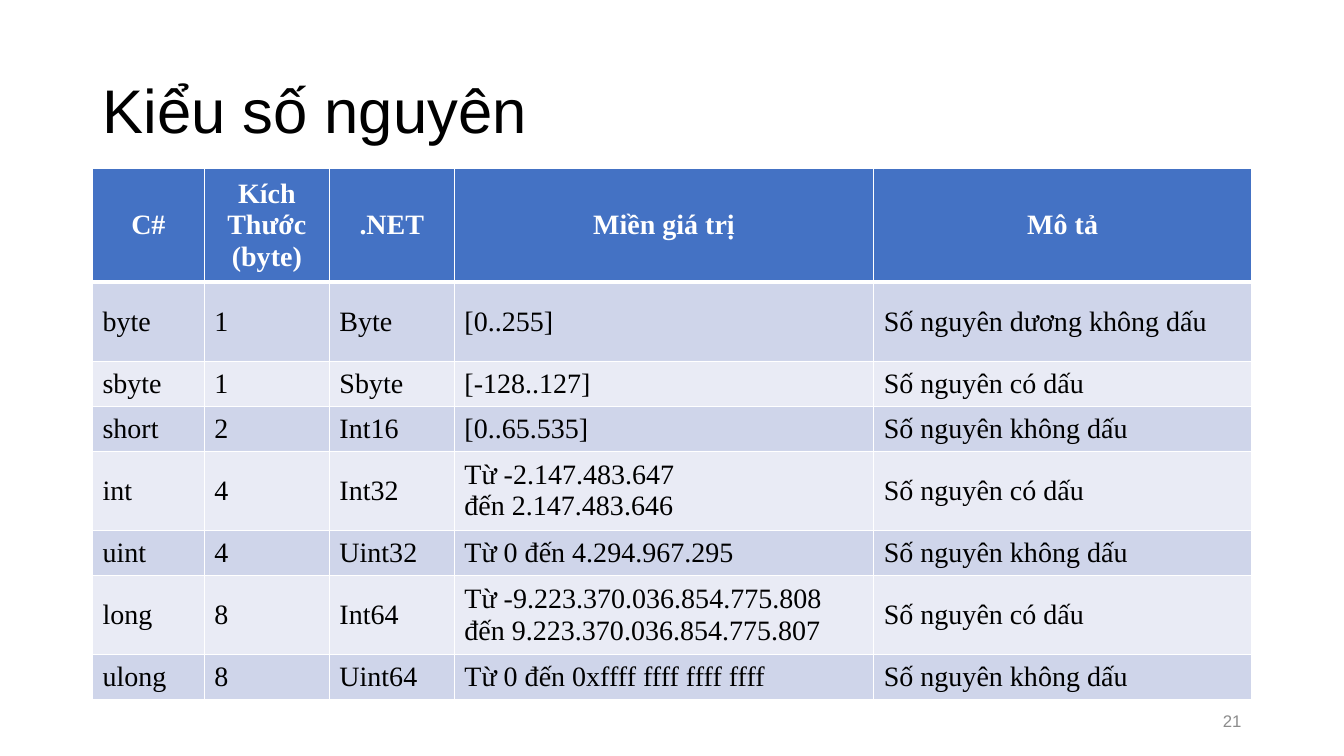
from lxml import etree
from pptx import Presentation
from pptx.dml.color import RGBColor
from pptx.enum.text import MSO_ANCHOR, PP_ALIGN
from pptx.oxml.ns import qn
from pptx.util import Cm, Pt

MIDDLE = MSO_ANCHOR.MIDDLE
LEFT, CENTER = PP_ALIGN.LEFT, PP_ALIGN.CENTER
RIGHT, JUSTIFY = PP_ALIGN.RIGHT, PP_ALIGN.JUSTIFY

COLORS = {
    "black": "000000",
    "white": "FFFFFF",
    "gray": "8C8C8C",
    "head": "4472C4",
    "odd": "CFD5EA",
    "even": "E9EBF5",
}
SANS, SERIF = "Arial", "Times New Roman"

WIDTHS = [2.82, 3.15, 3.15, 10.57, 9.52]
HEAD_TALL, ROW_TALL, ROW_LOW = 2.86, 2.0, 1.13
TALL_ROWS = {"byte", "int", "long"}

HEADER = ["C#", "Kích\nThước\n(byte)", ".NET", "Miền giá trị", "Mô tả"]
TYPES = [
    ["byte", "1", "Byte", "[0..255]", "Số nguyên dương không dấu"],
    ["sbyte", "1", "Sbyte", "[-128..127]", "Số nguyên có dấu"],
    ["short", "2", "Int16", "[0..65.535]", "Số nguyên không dấu"],
    ["int", "4", "Int32", "Từ -2.147.483.647\nđến 2.147.483.646",
     "Số nguyên có dấu"],
    ["uint", "4", "Uint32", "Từ 0 đến 4.294.967.295", "Số nguyên không dấu"],
    ["long", "8", "Int64",
     "Từ -9.223.370.036.854.775.808\nđến 9.223.370.036.854.775.807",
     "Số nguyên có dấu"],
    ["ulong", "8", "Uint64", "Từ 0 đến 0xffff ffff ffff ffff",
     "Số nguyên không dấu"],
]


def rgb(name):
    return RGBColor.from_string(COLORS[name])


def write(frame, text, font, size, color, align, bold=False):
    frame.text = text
    for par in frame.paragraphs:
        par.alignment = align
        par.font.name = font
        par.font.size = Pt(size)
        par.font.bold = bold
        par.font.color.rgb = rgb(color)


def add_text(slide, box, text, size, color, align):
    frame = slide.shapes.add_textbox(*map(Cm, box)).text_frame
    frame.word_wrap = True
    frame.vertical_anchor = MIDDLE
    write(frame, text, SANS, size, color, align)
    return frame


def add_borders(cell, top, bottom):
    props = cell._tc.get_or_add_tcPr()
    sides = [("L", 1), ("R", 1), ("T", top), ("B", bottom)]
    for pos, (side, width) in enumerate(sides):
        line = etree.Element(qn(f"a:ln{side}"), w=str(Pt(width)))
        fill = etree.SubElement(line, qn("a:solidFill"))
        etree.SubElement(fill, qn("a:srgbClr"), val=COLORS["white"])
        props.insert(pos, line)


def fill_cell(cell, text, row, col):
    head = row == 0
    cell.vertical_anchor = MIDDLE
    cell.fill.solid()
    cell.fill.fore_color.rgb = rgb("head" if head else "odd" if row % 2 else "even")
    align = CENTER if head else JUSTIFY if col == len(WIDTHS) - 1 else LEFT
    write(cell.text_frame, text, SERIF, 20, "white" if head else "black", align, head)
    add_borders(cell, 3 if row == 1 else 1, 3 if head else 1)


def add_grid(slide, left, top):
    rows = [HEADER] + TYPES
    heights = [HEAD_TALL] + [ROW_TALL if kind[0] in TALL_ROWS else ROW_LOW
                             for kind in TYPES]
    table = slide.shapes.add_table(
        len(rows), len(WIDTHS), Cm(left), Cm(top),
        Cm(sum(WIDTHS)), Cm(sum(heights))).table
    for col, width in enumerate(WIDTHS):
        table.columns[col].width = Cm(width)
    for row, texts in enumerate(rows):
        table.rows[row].height = Cm(heights[row])
        for col, text in enumerate(texts):
            fill_cell(table.cell(row, col), text, row, col)


def main():
    deck = Presentation()
    deck.slide_width, deck.slide_height = Cm(33.87), Cm(19.05)
    slide = deck.slides.add_slide(deck.slide_layouts[6])

    # Title
    title = add_text(slide, (2.33, 1.01, 29.21, 3.68), "Kiểu số nguyên",
                     44, "black", LEFT)
    title.paragraphs[0].line_spacing = 0.9

    # Page number
    add_text(slide, (23.92, 17.66, 7.62, 1.01), "21", 12, "gray", RIGHT)

    # Table of integer types
    add_grid(slide, 2.33, 4.25)

    deck.save("out.pptx")


if __name__ == "__main__":
    main()
